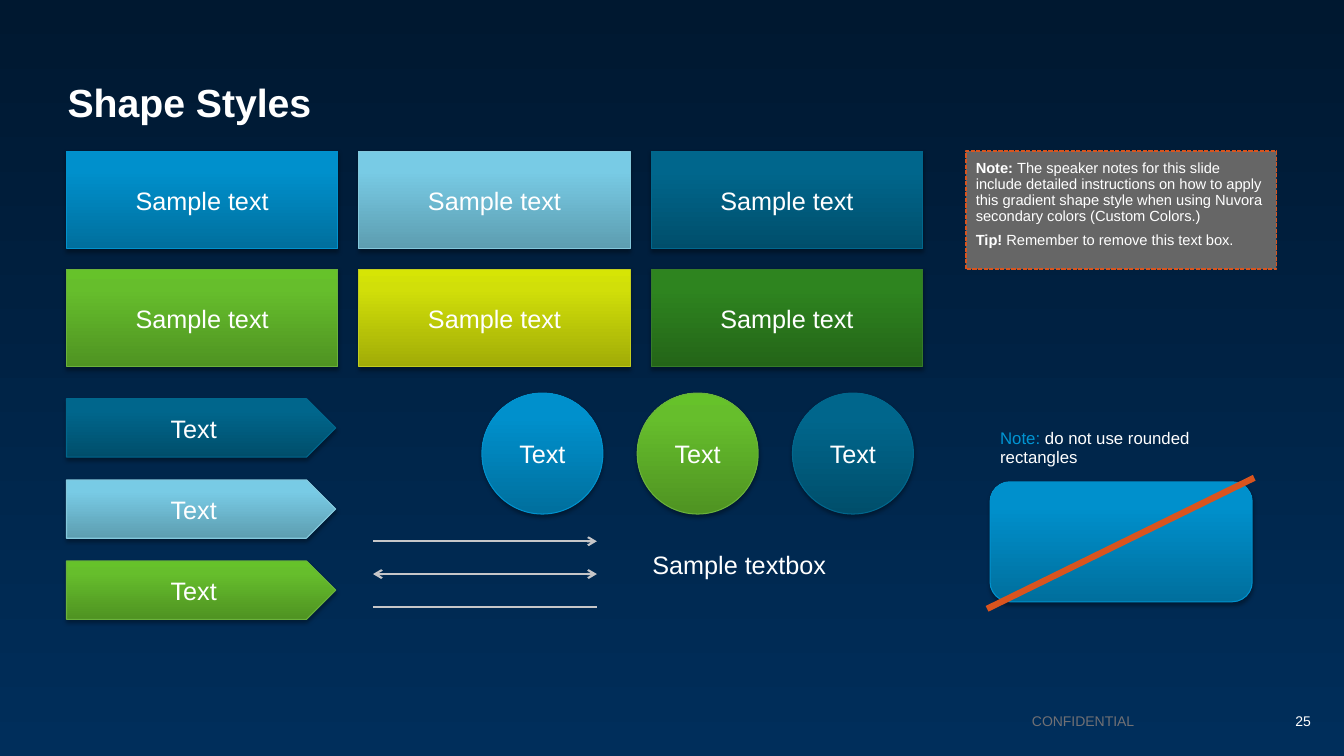
import copy

import pptx
import pptx.dml.color
import pptx.enum.dml
import pptx.enum.shapes
import pptx.enum.text
import pptx.oxml
import pptx.oxml.ns
import pptx.util
from pptx.util import Inches

SHAPE = pptx.enum.shapes.MSO_SHAPE
ALIGN = pptx.enum.text.PP_ALIGN
ANCHOR = pptx.enum.text.MSO_ANCHOR
A_NS = pptx.oxml.ns.nsdecls("a")

WHITE, GREY, SILVER = "FFFFFF", "717074", "C6C6C8"
ORANGE, NOTE_BLUE, NOTE_FILL = "D9541E", "0095D3", "666666"

# Gradient stops from bottom to top, then the outline
STYLES = {
    "blue": ("006F9D", "0090CC", "0091CD", "0092CE"),
    "sky": ("5D9DB0", "78CBE5", "77CDE8", "84C8DC"),
    "teal": ("004E6B", "00668C", "00668C", "00678D"),
    "green": ("4F9322", "66BE2C", "66C22A", "6AB23B"),
    "lime": ("A1AC07", "D1DF09", "D6E505", "C1CD1E"),
    "forest": ("246518", "2E841F", "2D861D", "357B29"),
}


def rgb(value):
    return pptx.dml.color.RGBColor.from_string(value)


def apply(obj, values):
    for name, value in values.items():
        setattr(obj, name, value)


def set_gradient(fill, element, stops, angle):
    """Fill with (position, colour) stops; the angle runs counter-clockwise."""
    fill.gradient()
    fill.gradient_angle = angle
    gs_list = element.xpath(".//a:gsLst")[0]
    while len(gs_list) < len(stops):
        gs_list.append(copy.deepcopy(gs_list[-1]))
    for stop, (position, color) in zip(fill.gradient_stops, stops):
        stop.position = position
        stop.color.rgb = rgb(color)


def add_shadow(shape):
    shadow = pptx.oxml.parse_xml(
        f'<a:outerShdw {A_NS} blurRad="{pptx.util.Pt(3.1)}" dist="{pptx.util.Pt(1.8)}" '
        'dir="5400000" algn="t" rotWithShape="0"><a:srgbClr val="000000">'
        '<a:alpha val="35000"/></a:srgbClr></a:outerShdw>')
    shape.element.spPr.find(pptx.oxml.ns.qn("a:effectLst")).append(shadow)


def write(shape, paragraphs, size, anchor=ANCHOR.TOP, margins=None, **para):
    """Each paragraph is a list of (text, colour, bold) runs."""
    tf = shape.text_frame
    apply(tf, {"word_wrap": True, "vertical_anchor": anchor,
               "auto_size": pptx.enum.text.MSO_AUTO_SIZE.NONE})
    if margins is not None:
        sides = ("left", "top", "right", "bottom")
        apply(tf, {f"margin_{side}": Inches(margins) for side in sides})
    for i, runs in enumerate(paragraphs):
        p = tf.add_paragraph() if i else tf.paragraphs[0]
        apply(p, para)
        for text, color, bold in runs:
            r = p.add_run()
            r.text = text
            apply(r.font, {"name": "Arial", "size": pptx.util.Pt(size), "bold": bold})
            r.font.color.rgb = rgb(color)


def add_label(s, box, runs, size, **options):
    sp = s.shapes.add_textbox(*map(Inches, box))
    write(sp, [runs], size, margins=0, **options)


def add_styled(s, kind, box, style, text=None):
    sp = s.shapes.add_shape(kind, *map(Inches, box))
    sp.shadow.inherit = False
    bottom, upper, top, outline = STYLES[style]
    set_gradient(sp.fill, sp.element, [(0, bottom), (0.8, upper), (1, top)], 90)
    sp.line.color.rgb = rgb(outline)
    sp.line.width = pptx.util.Pt(0.75)
    add_shadow(sp)
    if text:
        write(sp, [[(text, WHITE, False)]], 18, ANCHOR.MIDDLE, alignment=ALIGN.CENTER)


def add_line(s, x1, y1, x2, y2, color, width, ends=()):
    line = s.shapes.add_connector(
        pptx.enum.shapes.MSO_CONNECTOR.STRAIGHT, *map(Inches, (x1, y1, x2, y2)))
    line.line.color.rgb = rgb(color)
    line.line.width = pptx.util.Pt(width)
    for end in ends:
        line.line._get_or_add_ln().append(
            pptx.oxml.parse_xml(f'<a:{end} {A_NS} type="arrow"/>'))
    line.element.spPr.append(pptx.oxml.parse_xml(f"<a:effectLst {A_NS}/>"))


def add_note_box(s):
    sp = s.shapes.add_shape(SHAPE.RECTANGLE, *map(Inches, (9.58, 1.5, 3.08, 1.17)))
    sp.shadow.inherit = False
    sp.fill.solid()
    sp.fill.fore_color.rgb = rgb(NOTE_FILL)
    sp.line.color.rgb = rgb(ORANGE)
    apply(sp.line, {"width": pptx.util.Pt(1),
                    "dash_style": pptx.enum.dml.MSO_LINE.SQUARE_DOT})
    note = ("The speaker notes for this slide include detailed instructions on how to "
            "apply this gradient shape style when using Nuvora secondary colors "
            "(Custom Colors.)")
    write(sp, [[("Note: ", WHITE, True), (note, WHITE, False)],
               [("Tip! ", WHITE, True),
                ("Remember to remove this text box.", WHITE, False)]],
          10.5, margins=0.1, alignment=ALIGN.LEFT, line_spacing=0.9,
          space_before=pptx.util.Pt(6))


def main():
    prs = pptx.Presentation()
    apply(prs, {"slide_width": Inches(13.33), "slide_height": Inches(7.5)})
    s = prs.slides.add_slide(prs.slide_layouts[5])
    set_gradient(s.background.fill, s.element, [(0, "001830"), (1, "002E5B")], 270)

    # Title and footer
    title = s.shapes.title
    apply(title, {"left": Inches(0.67), "top": Inches(0.36),
                  "width": Inches(12), "height": Inches(0.89)})
    write(title, [[("Shape Styles", WHITE, True)]], 28, ANCHOR.BOTTOM, 0,
          alignment=ALIGN.LEFT, line_spacing=0.9)
    add_label(s, (5.58, 7.07, 5.67, 0.16), [("CONFIDENTIAL", GREY, False)], 10,
              anchor=ANCHOR.MIDDLE, alignment=ALIGN.RIGHT)
    add_label(s, (12.68, 7.07, 0.49, 0.16), [("25", WHITE, False)], 10,
              anchor=ANCHOR.MIDDLE, alignment=ALIGN.CENTER)

    # Rectangles, three to a row
    for i, style in enumerate(STYLES):
        row, col = divmod(i, 3)
        box = (0.66 + 2.9 * col, 1.5 + 1.17 * row, 2.69, 0.97)
        add_styled(s, SHAPE.RECTANGLE, box, style, "Sample text")

    # Pentagons and circles
    for i, style in enumerate(("teal", "sky", "green")):
        box = (0.66, 3.955 + 0.805 * i, 2.67, 0.58)
        add_styled(s, SHAPE.PENTAGON, box, style, "Text")
    for i, style in enumerate(("blue", "green", "teal")):
        add_styled(s, SHAPE.OVAL, (4.78 + 1.54 * i, 3.9, 1.2, 1.2), style, "Text")

    # Lines and sample text box
    for i, ends in enumerate((("tailEnd",), ("headEnd", "tailEnd"), ())):
        y = 5.37 + 0.325 * i
        add_line(s, 3.7, y, 5.92, y, SILVER, 1.5, ends)
    add_label(s, (6.47, 5.48, 2.78, 0.37), [("Sample textbox", WHITE, False)], 18,
              line_spacing=0.9)

    # Notes and the struck-out rounded rectangle
    add_note_box(s)
    add_styled(s, SHAPE.ROUNDED_RECTANGLE, (9.82, 4.78, 2.6, 1.19), "blue")
    add_label(s, (9.92, 4.27, 2.53, 0.49),
              [("Note: ", NOTE_BLUE, False),
               ("do not use rounded rectangles", WHITE, False)], 12, line_spacing=0.9)
    add_line(s, 9.79, 6.04, 12.44, 4.74, ORANGE, 4.5)

    prs.save("out.pptx")


if __name__ == "__main__":
    main()
